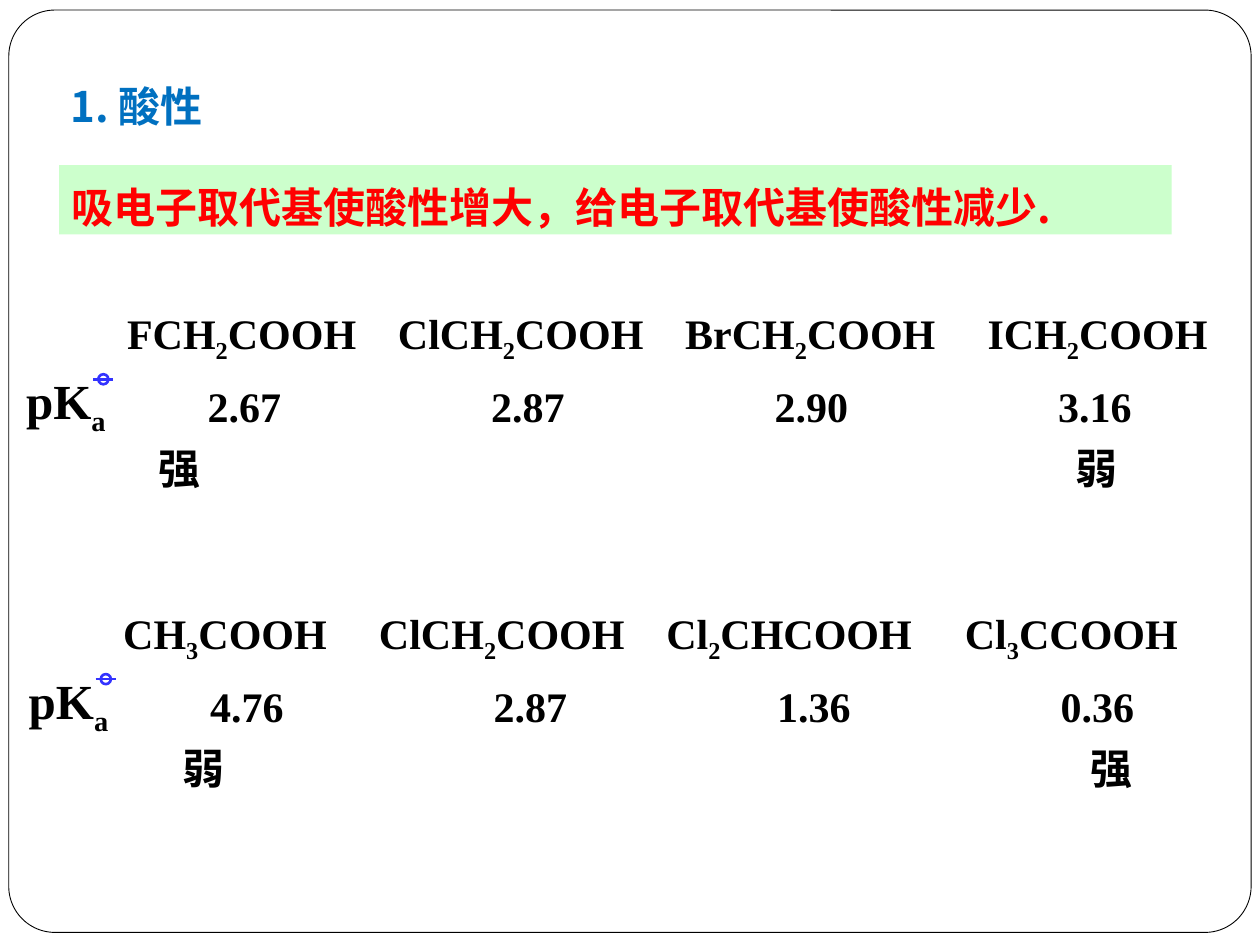
import dataclasses

import lxml.etree
import pptx
import pptx.dml.color
import pptx.enum.shapes
import pptx.enum.text
import pptx.oxml.ns
import pptx.util

SHAPE = pptx.enum.shapes.MSO_SHAPE
CELL = 0.1
qn = pptx.oxml.ns.qn


@dataclasses.dataclass(frozen=True)
class Theme:
    """Colours, fonts and type sizes of the slide."""
    paper: str = "FFFFFF"
    ink: str = "000000"
    title: str = "0070C0"
    rule: str = "FF0000"
    band: str = "CCFFCC"
    sign: str = "3333FF"
    serif: str = "Times New Roman"
    sans: str = "Noto Sans CJK SC"
    text_size: float = 24
    label_size: float = 28
    frame_line: float = 0.5
    sign_line: float = 1.5


THEME = Theme()


def rgb(code):
    """Return a colour from its hex code."""
    return pptx.dml.color.RGBColor.from_string(code)


def grid(*cells):
    """Turn columns and rows of the grid into lengths."""
    return [pptx.util.Inches(n * CELL) for n in cells]


def style_run(r, color, font, size):
    """Format a run in bold, with the sans font for Chinese."""
    r.font.size = pptx.util.Pt(size)
    r.font.bold = True
    r.font.name = font
    r.font.color.rgb = rgb(color)
    ea = lxml.etree.SubElement(r.font._element, qn("a:ea"))
    ea.set("typeface", THEME.sans)


def write(tf, text, color=THEME.ink, font=THEME.serif, size=THEME.text_size):
    """Write one line in which an underscore lowers the next character."""
    tf.vertical_anchor = pptx.enum.text.MSO_ANCHOR.TOP
    p = tf.paragraphs[0]
    p.alignment = pptx.enum.text.PP_ALIGN.LEFT
    first, *rest = text.split("_")
    pieces = [(first, False)]
    for part in rest:
        pieces += [(part[0], True), (part[1:], False)]
    for piece, lowered in pieces:
        if piece:
            r = p.add_run()
            r.text = piece
            style_run(r, color, font, size)
            if lowered:
                r.font._element.set("baseline", "-25000")
    return p


def add_text(s, box, text, **style):
    """Add a text box with one line."""
    tf = s.shapes.add_textbox(*grid(*box)).text_frame
    tf.word_wrap = True
    return write(tf, text, **style)


def add_row(s, box, items, stops):
    """Add a line of items set apart by tab stops."""
    p = add_text(s, box, "\t".join(items))
    tabs = lxml.etree.SubElement(p._p.get_or_add_pPr(), qn("a:tabLst"))
    for stop in grid(*stops):
        lxml.etree.SubElement(tabs, qn("a:tab"), pos=str(stop), algn="l")


def add_box(s, kind, box, fill=None, line=None, width=THEME.frame_line):
    """Add a preset shape with optional fill and line."""
    sp = s.shapes.add_shape(kind, *grid(*box))
    sp.shadow.inherit = False
    if fill:
        sp.fill.solid()
        sp.fill.fore_color.rgb = rgb(fill)
    else:
        sp.fill.background()
    if line:
        sp.line.color.rgb = rgb(line)
        sp.line.width = pptx.util.Pt(width)
    else:
        sp.line.fill.background()
    return sp


def add_standard_sign(s, x, y):
    """Add the standard-state sign, a ring crossed by a bar, centred on a point."""
    add_box(s, SHAPE.OVAL, (x - 0.4, y - 0.4, 0.8, 0.8),
            line=THEME.sign, width=THEME.sign_line)
    bar = s.shapes.add_connector(pptx.enum.shapes.MSO_CONNECTOR.STRAIGHT,
                                 *grid(x - 0.8, y, x + 0.8, y))
    bar.line.color.rgb = rgb(THEME.sign)
    bar.line.width = pptx.util.Pt(THEME.sign_line)
    lxml.etree.SubElement(bar._element.spPr, qn("a:effectLst"))


def add_series(s, x, y, acids, acid_box, acid_stops, values, ends):
    """Add one series of acids with pKa values and the strength at each end."""
    left, width = acid_box
    add_row(s, (left, y, width, 5), acids, acid_stops)
    add_text(s, (x, y + 5, 8.7, 5.7), "pK_a", size=THEME.label_size)
    add_standard_sign(s, x + 7.1, y + 6.2)
    add_row(s, (x + 14.4, y + 5.8, 78.3, 5.1), values,
            [22.5 * n for n in range(1, len(values))])
    for column, word in ends:
        add_text(s, (column, y + 10.75, 7.1, 5.1), word)


def add_frame(s):
    """Add the rounded frame behind everything else."""
    sp = add_box(s, SHAPE.ROUNDED_RECTANGLE, (0.7, 0.8, 98.6, 73.2),
                 THEME.paper, THEME.ink)
    sp.adjustments[0] = 0.05
    s.shapes.element.insert(2, sp.element)


def add_title(s, text):
    """Place and write the title."""
    sp = s.shapes.title
    sp.left, sp.top, sp.width, sp.height = grid(4.6, 5.9, 55.8, 7.5)
    write(sp.text_frame, text, THEME.title, THEME.sans)


def add_statement(s, text):
    """Add the rule on its coloured band."""
    sp = add_box(s, SHAPE.RECTANGLE, (4.7, 13.1, 88.3, 5.5), THEME.band)
    p = write(sp.text_frame, text, THEME.rule, THEME.sans)
    p.line_spacing = 1.2
    p.space_after = pptx.util.Pt(6)


def main():
    """Build the slide and save it."""
    prs = pptx.Presentation()
    prs.slide_width, prs.slide_height = grid(100, 75)
    s = prs.slides.add_slide(prs.slide_layouts[5])
    add_frame(s)
    add_title(s, "1. 酸性")
    add_statement(s, "吸电子取代基使酸性增大，给电子取代基使酸性减少.")
    add_series(s, 1.1, 23.9,
               ["FCH_2COOH", "ClCH_2COOH", "BrCH_2COOH", "ICH_2COOH"],
               (9.1, 89.8), (21.5, 44.3, 68.3),
               ["2.67", "2.87", "2.90", "3.16"],
               [(11.6, "强"), (84.4, "弱")])
    add_series(s, 1.3, 47.7,
               ["CH_3COOH", "ClCH_2COOH", "Cl_2CHCOOH", "Cl_3CCOOH"],
               (8.8, 86.6), (20.3, 43.1, 66.8),
               ["4.76", "2.87", "1.36", "0.36"],
               [(13.5, "弱"), (85.6, "强")])
    prs.save("out.pptx")


if __name__ == "__main__":
    main()
